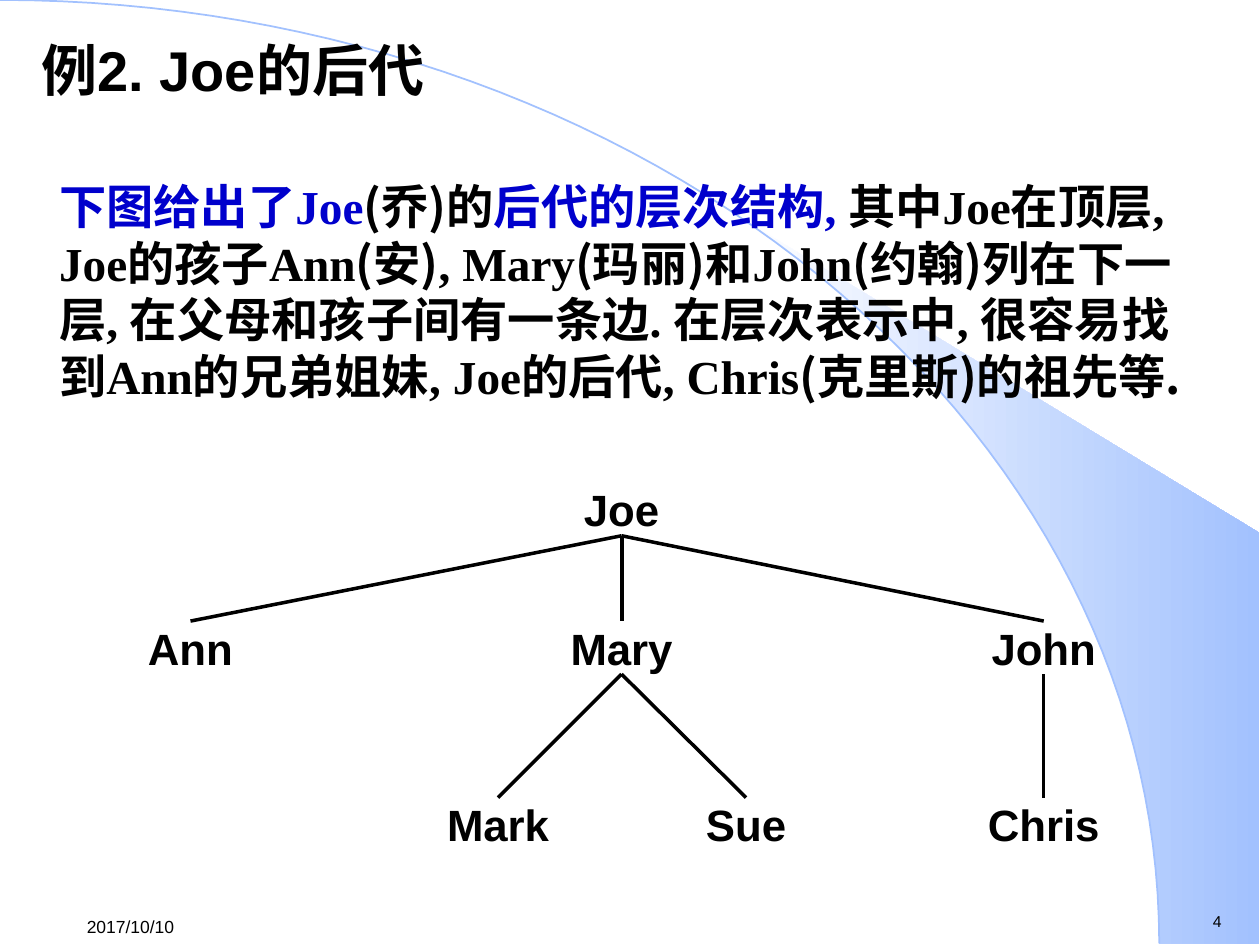
import math
from dataclasses import dataclass

from lxml import etree
from pptx import Presentation
from pptx import util as u
from pptx.dml.color import RGBColor
from pptx.enum import shapes, text
from pptx.oxml.ns import qn


@dataclass(frozen=True)
class Theme:
    ink: str = "000000"
    key: str = "0000CC"
    sky: str = "A2C1FE"
    white: str = "FFFFFF"
    sans: str = "Arial"
    serif: str = "Times New Roman"
    han: str = "Noto Sans CJK SC"
    title: float = 32
    body: float = 27
    lead: float = 32.3
    node: float = 25
    date: float = 10
    page: float = 9


class Deck:
    """Holds the theme and the current slide."""

    def __init__(self, theme):
        self.theme = theme
        self.prs = Presentation()
        self.prs.slide_width, self.prs.slide_height = u.Cm(25.4), u.Cm(19.05)
        self.slide = self.prs.slides.add_slide(self.prs.slide_layouts[1])
        self.shapes = self.slide.shapes

    def style(self, run, size, font=None, color=None, bold=True):
        face = run.font
        face.size, face.bold = u.Pt(size), bold
        face.name = font or self.theme.sans
        face.color.rgb = RGBColor.from_string(color or self.theme.ink)
        east = etree.Element(qn("a:ea"), typeface=self.theme.han)
        face._element.find(qn("a:latin")).addnext(east)

    def frame(self, shape, box, pad, anchor, wrap=True):
        """Place a text shape; box and pad (left, top, right, bottom) in cm."""
        shape.left, shape.top, shape.width, shape.height = map(u.Cm, box)
        tf = shape.text_frame
        tf.auto_size = text.MSO_AUTO_SIZE.NONE
        tf.word_wrap, tf.vertical_anchor = wrap, anchor
        (tf.margin_left, tf.margin_top,
         tf.margin_right, tf.margin_bottom) = map(u.Cm, pad)
        return tf

    def front(self, shape):
        self.shapes._spTree.append(shape._element)

    def title(self, words, box):
        shape = self.shapes.title
        self.front(shape)
        tf = self.frame(shape, box, (0.25, 0.13, 0.25, 0.13),
                        text.MSO_ANCHOR.TOP)
        tf.text = words
        para = tf.paragraphs[0]
        para.alignment = text.PP_ALIGN.LEFT
        self.style(para.runs[0], self.theme.title)

    def body(self, parts, box):
        """Fill the body with one paragraph of (words, font, color) parts."""
        shape = self.slide.placeholders[1]
        self.front(shape)
        tf = self.frame(shape, box, (0.2, 0.2, 0.2, 0), text.MSO_ANCHOR.TOP)
        para = tf.paragraphs[0]
        para.space_before = u.Pt(6)
        para.line_spacing = u.Pt(self.theme.lead)
        props = para._p.get_or_add_pPr()
        props.set("marL", str(u.Cm(0.1)))
        props.set("indent", "0")
        etree.SubElement(props, qn("a:buNone"))
        for words, font, color in parts:
            run = para.add_run()
            run.text = words
            self.style(run, self.theme.body, font, color)

    def label(self, words, box, size, bold=False, pad=(0.25, 0.13),
              anchor=text.MSO_ANCHOR.MIDDLE, align=text.PP_ALIGN.LEFT):
        shape = self.shapes.add_textbox(0, 0, 0, 0)
        tf = self.frame(shape, box, pad * 2, anchor, wrap=False)
        tf.text = words
        para = tf.paragraphs[0]
        para.alignment = align
        self.style(para.runs[0], size, bold=bold)
        return shape

    def node(self, name, left, top):
        return self.label(name, (left, top, 2.5, 1.07), self.theme.node, True,
                          (0, 0), align=text.PP_ALIGN.CENTER)

    def edge(self, upper, lower, width):
        line = self.shapes.add_connector(
            shapes.MSO_CONNECTOR.STRAIGHT, 0, 0, 0, 0)
        line.begin_connect(upper, 2)
        line.end_connect(lower, 0)
        line.line.color.rgb = RGBColor.from_string(self.theme.ink)
        line.line.width = u.Pt(width)
        etree.SubElement(line._element.spPr, qn("a:effectLst"))

    def outline(self, points, close):
        start, *rest = [(u.Cm(x), u.Cm(y)) for x, y in points]
        pen = self.shapes.build_freeform(*start)
        pen.add_line_segments(rest, close=close)
        shape = pen.convert_to_shape()
        shape.shadow.inherit = False
        return shape

    def curve(self, points):
        shape = self.outline(points, False)
        shape.fill.background()
        shape.line.color.rgb = RGBColor.from_string(self.theme.sky)
        shape.line.width = u.Pt(1)

    def wedge(self, points):
        shape = self.outline(points, True)
        shape.line.fill.background()
        shape.fill.gradient()
        shape.fill.gradient_angle = 0
        tints = (self.theme.white, self.theme.sky)
        for place, (stop, tint) in enumerate(
                zip(shape.fill.gradient_stops, tints)):
            stop.position = place
            stop.color.rgb = RGBColor.from_string(tint)


def arc(first, steps=60):
    """Points on the quarter ellipse, from an angle in degrees to 90."""
    wide, high = 23.37, 19.02
    turns = [math.radians(first + (90 - first) * i / steps)
             for i in range(steps + 1)]
    return [(wide * math.sin(t), high * (1 - math.cos(t))) for t in turns]


def main():
    th = Theme()
    deck = Deck(th)
    deck.wedge(arc(39.8) + [(25.38, 19.02), (25.38, 10.74)])
    deck.curve(arc(0))

    deck.label("4", (24.2, 18.26, 0.9, 0.64), th.page,
               anchor=text.MSO_ANCHOR.TOP)
    deck.label("2017/10/10", (1.5, 18.3, 2.6, 0.76), th.date)
    deck.title("例2. Joe的后代", (0.58, 0.58, 9.1, 1.63))

    rows = (9.73, 12.52, 16.08)
    places = {"Joe": (11.28, 0), "Ann": (2.59, 1), "Mary": (11.28, 1),
              "John": (19.79, 1), "Mark": (8.79, 2), "Sue": (13.79, 2),
              "Chris": (19.79, 2)}
    nodes = {name: deck.node(name, left, rows[row])
             for name, (left, row) in places.items()}
    kids = {"Joe": ("Ann", "John", "Mary"), "Mary": ("Mark", "Sue"),
            "John": ("Chris",)}
    for elder, names in kids.items():
        for name in names:
            deck.edge(nodes[elder], nodes[name], 2.25 if name == "Mary" else 2)

    deck.body([
        ("下图给出了Joe", th.serif, th.key),
        ("(", th.han, th.ink), ("乔", th.serif, th.ink),
        (")的", th.han, th.ink),
        ("后代的层次结构, ", th.serif, th.key),
        ("其中Joe在顶层, Joe的孩子Ann", th.serif, th.ink),
        ("(", th.han, th.ink), ("安", th.serif, th.ink),
        (")", th.han, th.ink), (", Mary", th.serif, th.ink),
        ("(", th.han, th.ink), ("玛丽", th.serif, th.ink),
        (")", th.han, th.ink), ("和John", th.serif, th.ink),
        ("(", th.han, th.ink), ("约翰", th.serif, th.ink),
        (")", th.han, th.ink),
        ("列在下一层, 在父母和孩子间有一条边. 在层次表示中, "
         "很容易找到Ann的兄弟姐妹, Joe的后代, Chris", th.serif, th.ink),
        ("(", th.han, th.ink), ("克里斯", th.serif, th.ink),
        (")", th.han, th.ink), ("的祖先", th.serif, th.ink),
        ("等.", th.han, th.ink),
    ], (0.89, 3.38, 23.7, 6.35))
    deck.prs.save("out.pptx")


if __name__ == "__main__":
    main()
